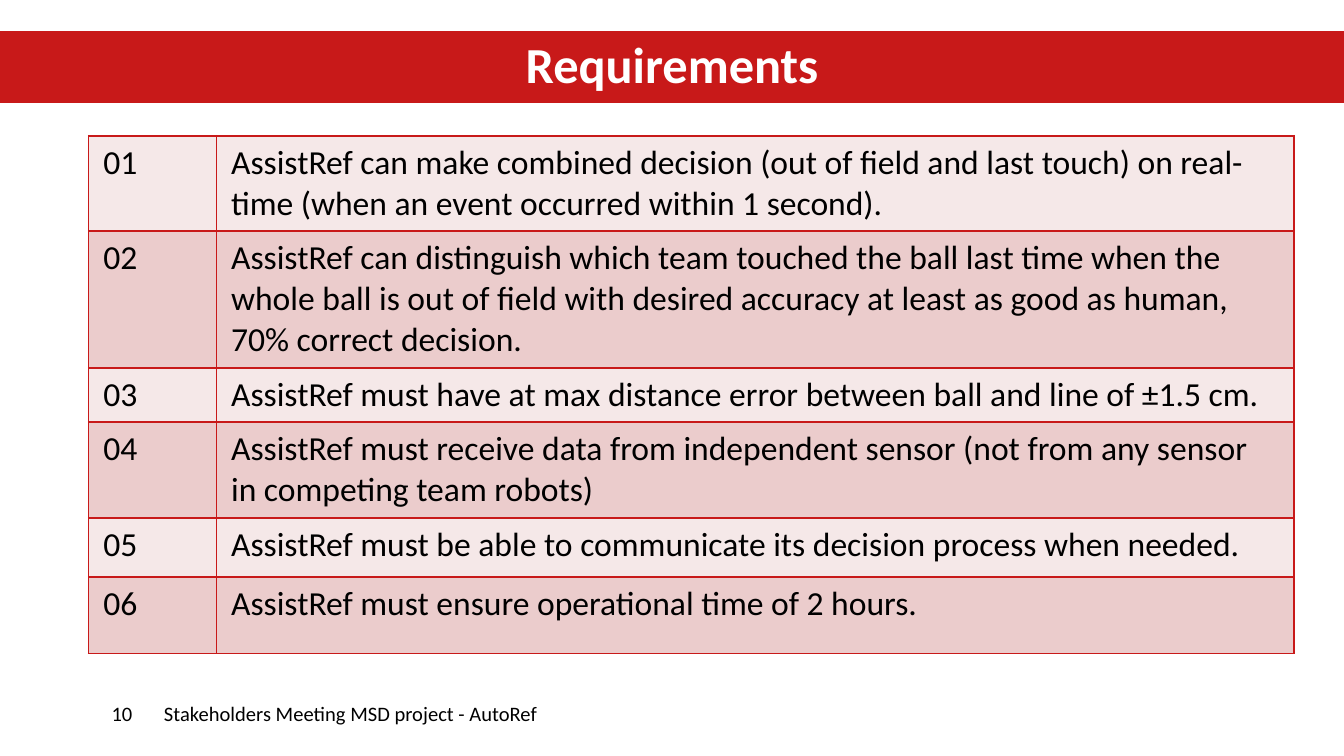
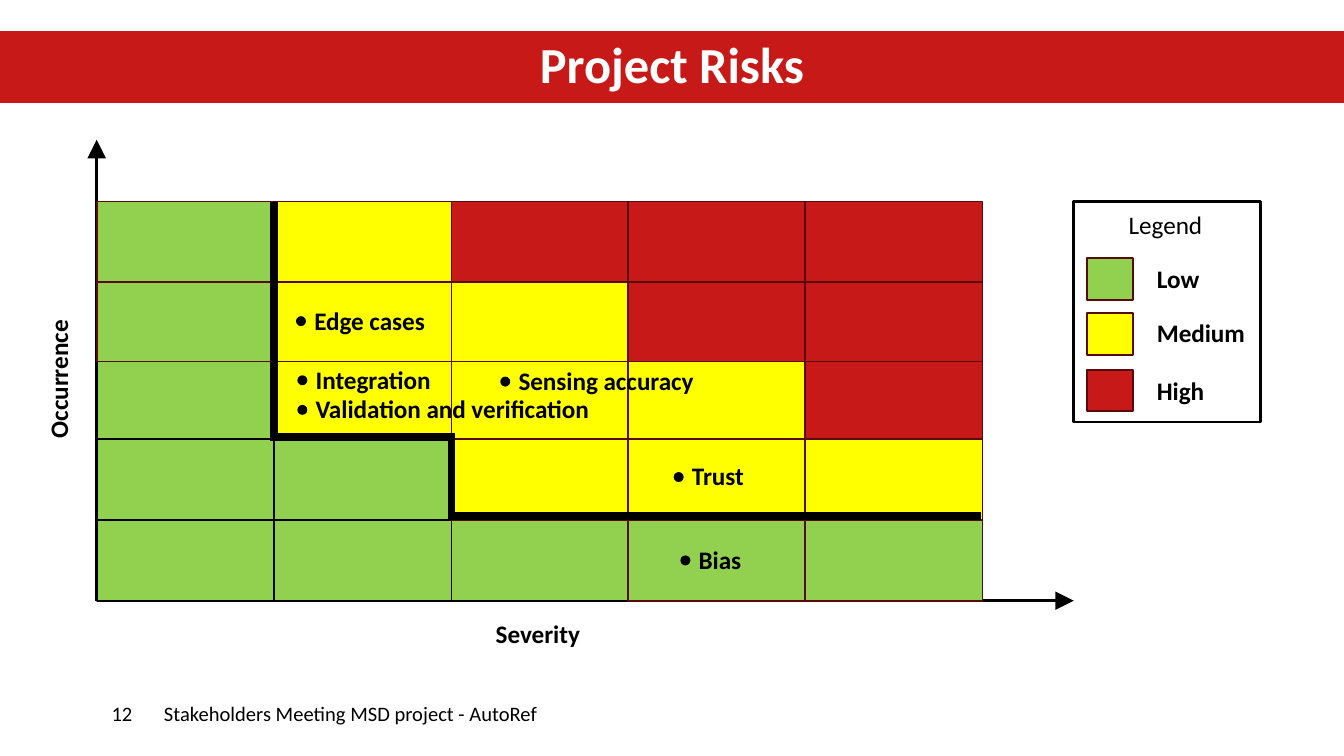
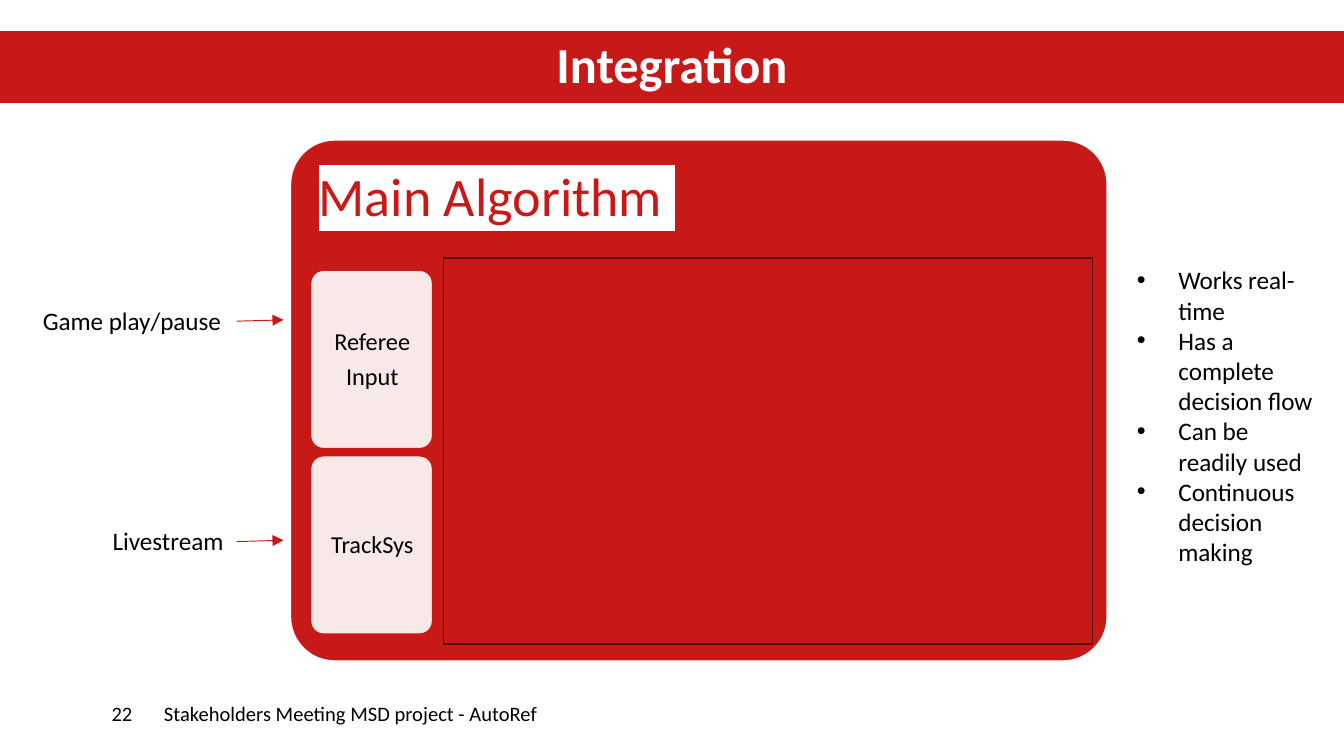
from dataclasses import dataclass
from typing import Any, NamedTuple, Optional

import lxml.etree
import pptx
import pptx.dml.color
import pptx.enum.shapes
import pptx.enum.text
import pptx.oxml.ns
import pptx.slide
import pptx.util

RGB = pptx.dml.color.RGBColor
Pt = pptx.util.Pt
Kind = pptx.enum.shapes.MSO_SHAPE
Align = pptx.enum.text.PP_ALIGN
Anchor = pptx.enum.text.MSO_ANCHOR
Fit = pptx.enum.text.MSO_AUTO_SIZE
qn = pptx.oxml.ns.qn

# Scale: 100 px to the inch
SCALE = 9144
WIDE = 1000

# Colours
RED = RGB(0xC8, 0x19, 0x19)
DARK = RGB(0x58, 0x0B, 0x0B)
GREEN = RGB(0x92, 0xD0, 0x50)
YELLOW = RGB(0xFF, 0xFF, 0x00)
BLACK = RGB(0x00, 0x00, 0x00)
WHITE = RGB(0xFF, 0xFF, 0xFF)
PALE = RGB(0xF5, 0xE8, 0xE8)
PINK = RGB(0xEB, 0xCC, 0xCC)

# Text formats
FACE = "Calibri"
HEAD = {"name": FACE, "size": Pt(27), "bold": True}
FOOT = {"name": FACE, "size": Pt(11), "bold": False}
CELL = {"name": FACE, "size": Pt(18), "bold": False}
BODY = {"name": FACE, "size": Pt(13.5), "bold": False}
BOLD = {**BODY, "bold": True}
MAIN = {**BODY, "size": Pt(29)}
PART = {**BODY, "size": Pt(13)}

# Paragraph and frame formats
TIGHT = {"line_spacing": 0.9, "space_after": Pt(4.5)}
GROW = {"auto_size": Fit.SHAPE_TO_FIT_TEXT, "word_wrap": True}
FREE = {**GROW, "word_wrap": False}
FIXED = {"auto_size": Fit.NONE, "word_wrap": True}
FOOTER = "Stakeholders Meeting MSD project - AutoRef"


class Box(NamedTuple):
    x: int
    y: int
    w: int
    h: int


@dataclass
class Line:
    x1: int
    y1: int
    x2: int
    y2: int
    color: RGB = BLACK
    width: float = 4
    tip: str = ""
    size: str = "med"


@dataclass
class Note:
    text: str
    box: Box


def px(n: int) -> pptx.util.Emu:
    return pptx.util.Emu(n * SCALE)


def place(box: Box) -> list[pptx.util.Emu]:
    return [px(n) for n in box]


def style(item: Any, look: dict[str, Any]) -> None:
    for key, value in look.items():
        setattr(item, key, value)


def pad(left: int, top: int, right: int, low: int) -> dict[str, Any]:
    sides = ("left", "top", "right", "bottom")
    return {f"margin_{s}": px(n) for s, n in zip(sides, (left, top, right, low))}


def write(frame: Any, text: str, look: dict[str, Any], color: RGB = BLACK,
          para: Optional[dict[str, Any]] = None, dots: bool = False) -> None:
    """Fill a text frame, one paragraph for each line of text."""
    for i, words in enumerate(text.split("\n")):
        p = frame.paragraphs[0] if i == 0 else frame.add_paragraph()
        if dots:
            props = p._p.get_or_add_pPr()
            props.set("marL", str(px(31)))
            props.set("indent", str(px(-31)))
            lxml.etree.SubElement(props, qn("a:buFont"), typeface="Arial")
            lxml.etree.SubElement(props, qn("a:buChar"), char="•")
        style(p, {"alignment": Align.LEFT, **(para or {})})
        run = p.add_run()
        run.text = words
        style(run.font, look)
        run.font.color.rgb = color


def shape(page: pptx.slide.Slide, kind: Any, box: Box, fill: Optional[RGB],
          edge: Optional[RGB] = None, width: float = 1) -> Any:
    item = page.shapes.add_shape(kind, *place(box))
    item.shadow.inherit = False
    if fill is None:
        item.fill.background()
    else:
        item.fill.solid()
        item.fill.fore_color.rgb = fill
    if edge is None:
        item.line.fill.background()
    else:
        item.line.color.rgb = edge
        item.line.width = Pt(width)
    return item


def label(page: pptx.slide.Slide, note: Note, look: dict[str, Any],
          frame: dict[str, Any] = FREE, **extra: Any) -> Any:
    item = page.shapes.add_textbox(*place(note.box))
    style(item.text_frame, frame)
    write(item.text_frame, note.text, look, **extra)
    return item


def stroke(page: pptx.slide.Slide, line: Line) -> None:
    ends = [px(n) for n in (line.x1, line.y1, line.x2, line.y2)]
    item = page.shapes.add_connector(
        pptx.enum.shapes.MSO_CONNECTOR.STRAIGHT, *ends)
    item.line.color.rgb = line.color
    item.line.width = Pt(line.width)
    props = item.element.spPr
    if line.tip:
        lxml.etree.SubElement(
            props.find(qn("a:ln")), qn(f"a:{line.tip}"),
            {"type": "triangle", "w": line.size, "len": line.size})
    lxml.etree.SubElement(props, qn("a:effectLst"))


def start(deck: Any, title: str, number: int) -> pptx.slide.Slide:
    """Add a slide with its footer, red band and title."""
    page = deck.slides.add_slide(deck.slide_layouts[5])
    feet = ((FOOTER, Box(122, 500, 770, 62), 0),
            (str(number), Box(0, 500, 122, 62), 83))
    for text, box, left in feet:
        frame = shape(page, Kind.RECTANGLE, box, WHITE).text_frame
        style(frame, {**FIXED, **pad(left, 0, 0, 0),
                      "vertical_anchor": Anchor.MIDDLE})
        write(frame, text, FOOT)
    shape(page, Kind.RECTANGLE, Box(0, 24, WIDE, 52), RED, RED)

    head = page.shapes.title
    head.element.getparent().append(head.element)
    spot = Box(0, 32, WIDE, 47)
    style(head, dict(zip(("left", "top", "width", "height"), place(spot))))
    style(head.text_frame, {**FIXED, **pad(0, 0, 0, 0),
                            "vertical_anchor": Anchor.TOP})
    write(head.text_frame, title, HEAD, WHITE,
          {"alignment": Align.CENTER, "line_spacing": Pt(27)})
    return page


# Requirements table
NEEDS = (
    (64, "AssistRef can make combined decision (out of field and last touch) "
         "on real-time (when an event occurred within 1 second)."),
    (91, "AssistRef can distinguish which team touched the ball last time when "
         "the whole ball is out of field with desired accuracy at least as "
         "good as human, 70% correct decision."),
    (37, "AssistRef must have at max distance error between ball and line of "
         "±1.5 cm."),
    (64, "AssistRef must receive data from independent sensor (not from any "
         "sensor in competing team robots)"),
    (44, "AssistRef must be able to communicate its decision process when "
         "needed."),
    (57, "AssistRef must ensure operational time of 2 hours."),
)


def border(cell: Any) -> None:
    props = cell._tc.get_or_add_tcPr()
    for side in "LRTB":
        edge = lxml.etree.SubElement(props, qn(f"a:ln{side}"), w=str(Pt(1)))
        fill = lxml.etree.SubElement(edge, qn("a:solidFill"))
        lxml.etree.SubElement(fill, qn("a:srgbClr"), val=str(RED))


def needs(deck: Any) -> None:
    page = start(deck, "Requirements", 10)
    box = Box(66, 101, 897, 383)
    holder = page.shapes.add_table(len(NEEDS), 2, *place(box))
    grid = holder.table
    style(grid, {"first_row": False, "horz_banding": False})
    for col, width in zip(grid.columns, (95, 802)):
        col.width = px(width)
    for i, (high, text) in enumerate(NEEDS):
        grid.rows[i].height = px(high)
        for cell, words in zip(grid.rows[i].cells, (f"{i + 1:02}", text)):
            border(cell)
            cell.fill.solid()
            cell.fill.fore_color.rgb = PINK if i % 2 else PALE
            style(cell, pad(11, 5, 11, 5))
            write(cell.text_frame, words, CELL)
    holder.height = px(box.h)


# Risk matrix, top row first
LEVEL = {"L": GREEN, "M": YELLOW, "H": RED}
HEAT = ("LMHHH", "LMMHH", "LMMMH", "LLMMM", "LLLLL")
TOPS = (150, 209, 267, 327, 387)
LEFT, STEP = 72, 131.75
AXES = (Line(72, 104, 72, 447, width=1.5, tip="headEnd", size="lg"),
        Line(799, 447, 72, 447, width=1.5, tip="headEnd", size="lg"))
BOUNDS = (Line(204, 150, 204, 328), Line(336, 384, 730, 384),
          Line(202, 325, 336, 325), Line(336, 322, 336, 387))
RISKS = (
    Note("Trust", Box(505, 338, 59, 33)),
    Note("Bias", Box(510, 400, 52, 33)),
    Note("Sensing accuracy", Box(376, 267, 152, 33)),
    Note("Edge cases", Box(224, 222, 103, 33)),
    Note("Validation and verification", Box(225, 288, 227, 33)),
)
MERGE = Note("Integration", Box(225, 266, 152, 33))
KEYS = ((GREEN, 192, Note("Low", Box(851, 191, 52, 33))),
        (YELLOW, 233, Note("Medium", Box(851, 231, 87, 33))),
        (RED, 275, Note("High", Box(851, 274, 56, 33))))


def threat(page: pptx.slide.Slide, note: Note, frame: dict[str, Any]) -> None:
    label(page, note, BOLD, frame)
    dot = Box(note.box.x - 3, note.box.y + 14, 6, 6)
    shape(page, Kind.OVAL, dot, BLACK, BLACK)


def risks(deck: Any) -> None:
    page = start(deck, "Project Risks", 12)
    for line in AXES:
        stroke(page, line)
    label(page, Note("Severity", Box(359, 455, 84, 33)), BOLD)
    side = label(page, Note("Occurrence", Box(-11, 265, 109, 33)), BOLD)
    side.rotation = 270

    # Cells, from the bottom row up
    for row in reversed(range(len(HEAT))):
        for col, mark in enumerate(HEAT[row]):
            edge = BLACK if col < row - 1 else DARK
            box = Box(round(LEFT + col * STEP), TOPS[row], 132, 60)
            shape(page, Kind.RECTANGLE, box, LEVEL[mark], edge)
    for line in BOUNDS:
        stroke(page, line)
    for risk in RISKS:
        threat(page, risk, FREE)

    # Legend
    label(page, Note("Legend", Box(830, 151, 76, 33)), BODY)
    for color, top, note in KEYS:
        shape(page, Kind.RECTANGLE, Box(809, top, 34, 31), color, DARK)
        label(page, note, BOLD)
    shape(page, Kind.RECTANGLE, Box(799, 150, 139, 164), None, BLACK, 1.5)
    threat(page, MERGE, GROW)


# Integration diagram
PARTS = (Note("Referee\nInput", Box(231, 201, 91, 133)),
         Note("TrackSys", Box(231, 339, 91, 133)))
FEEDS = ((Note("Game play/pause", Box(22, 222, 164, 33)), Align.LEFT, 239),
         (Note("Livestream", Box(12, 386, 164, 33)), Align.RIGHT, 403))
GAINS = "\n".join(("Works real-time", "Has a complete decision flow",
                   "Can be readily used", "Continuous decision making"))


def panel(page: pptx.slide.Slide, box: Box, fill: RGB, edge: RGB,
          bend: float) -> Any:
    item = shape(page, Kind.ROUNDED_RECTANGLE, box, fill, edge)
    item.adjustments[0] = bend
    return item


def merge(deck: Any) -> None:
    page = start(deck, "Integration", 22)
    panel(page, Box(216, 104, 608, 388), RED, WHITE, 0.085)
    main = label(page, Note("Main Algorithm ", Box(225, 114, 589, 368)), MAIN,
                 {**FIXED, **pad(12, 12, 12, 301)}, color=RED, para=TIGHT)

    # White highlight behind the heading
    fill = main.element.find(f".//{qn('a:rPr')}/{qn('a:solidFill')}")
    mark = lxml.etree.Element(qn("a:highlight"))
    lxml.etree.SubElement(mark, qn("a:srgbClr"), val=str(WHITE))
    fill.addnext(mark)

    # Input parts
    for part in PARTS:
        item = panel(page, part.box, WHITE, RED, 0.105)
        tint = item.element.spPr.find(f"{qn('a:solidFill')}/{qn('a:srgbClr')}")
        lxml.etree.SubElement(tint, qn("a:alpha"), val="90000")
        x, y, w, h = part.box
        label(page, Note(part.text, Box(x + 3, y + 3, w - 5, h - 5)), PART,
              {**FIXED, **pad(5, 5, 5, 5), "vertical_anchor": Anchor.MIDDLE},
              para={**TIGHT, "alignment": Align.CENTER})
    shape(page, Kind.RECTANGLE, Box(330, 192, 483, 287), RED, DARK)

    # Feeds and gains
    for note, side, y in FEEDS:
        stroke(page, Line(176, y, 211, y - 1, RED, 0.5, "tailEnd"))
        label(page, note, BODY, GROW, para={"alignment": side})
    label(page, Note(GAINS, Box(836, 192, 158, 237)), BODY, GROW, dots=True)


def main() -> None:
    deck = pptx.Presentation()
    # Widescreen, 16:9
    style(deck, {"slide_width": px(WIDE), "slide_height": px(WIDE) * 9 // 16})
    for build in (needs, risks, merge):
        build(deck)
    deck.save("out.pptx")


if __name__ == "__main__":
    main()
